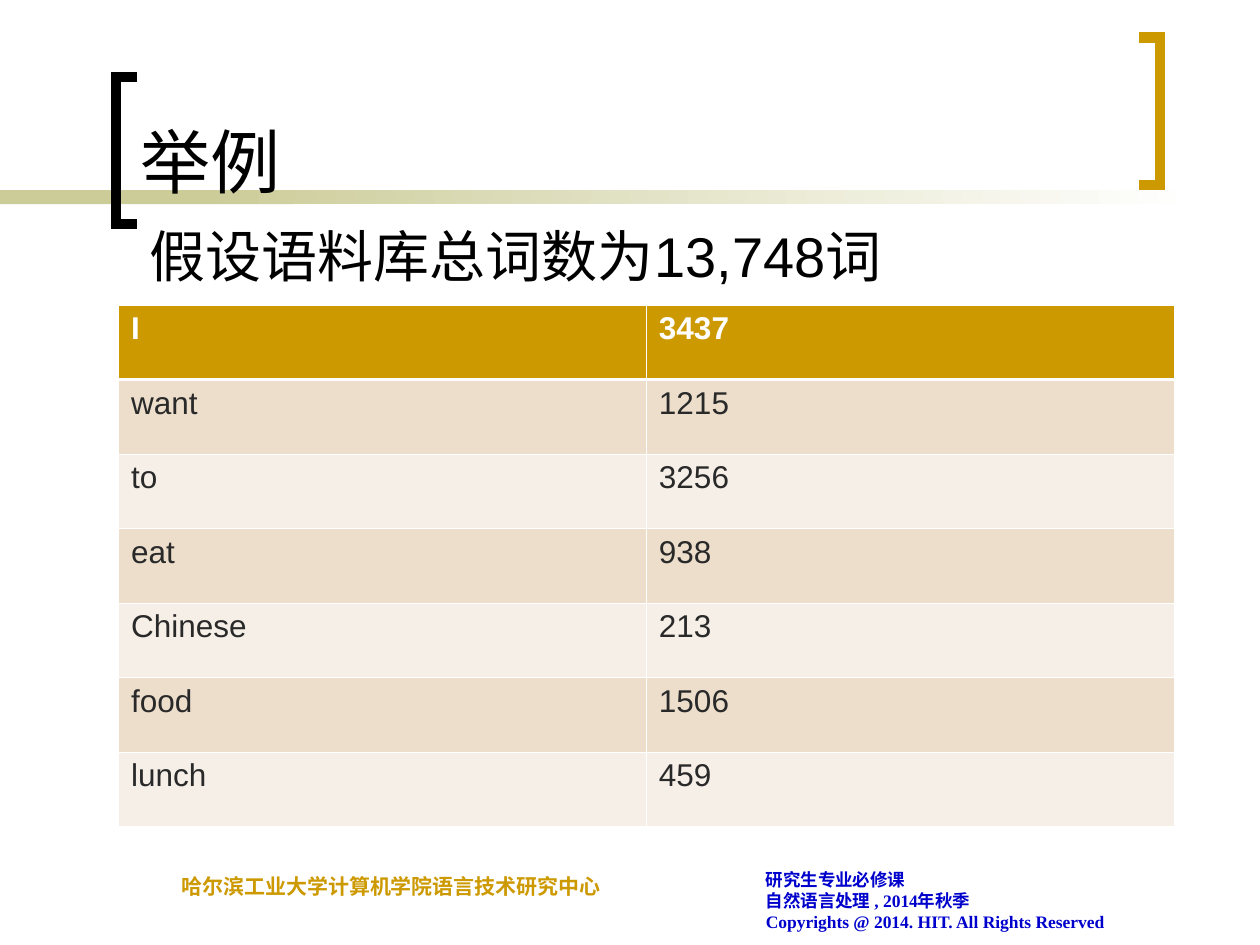
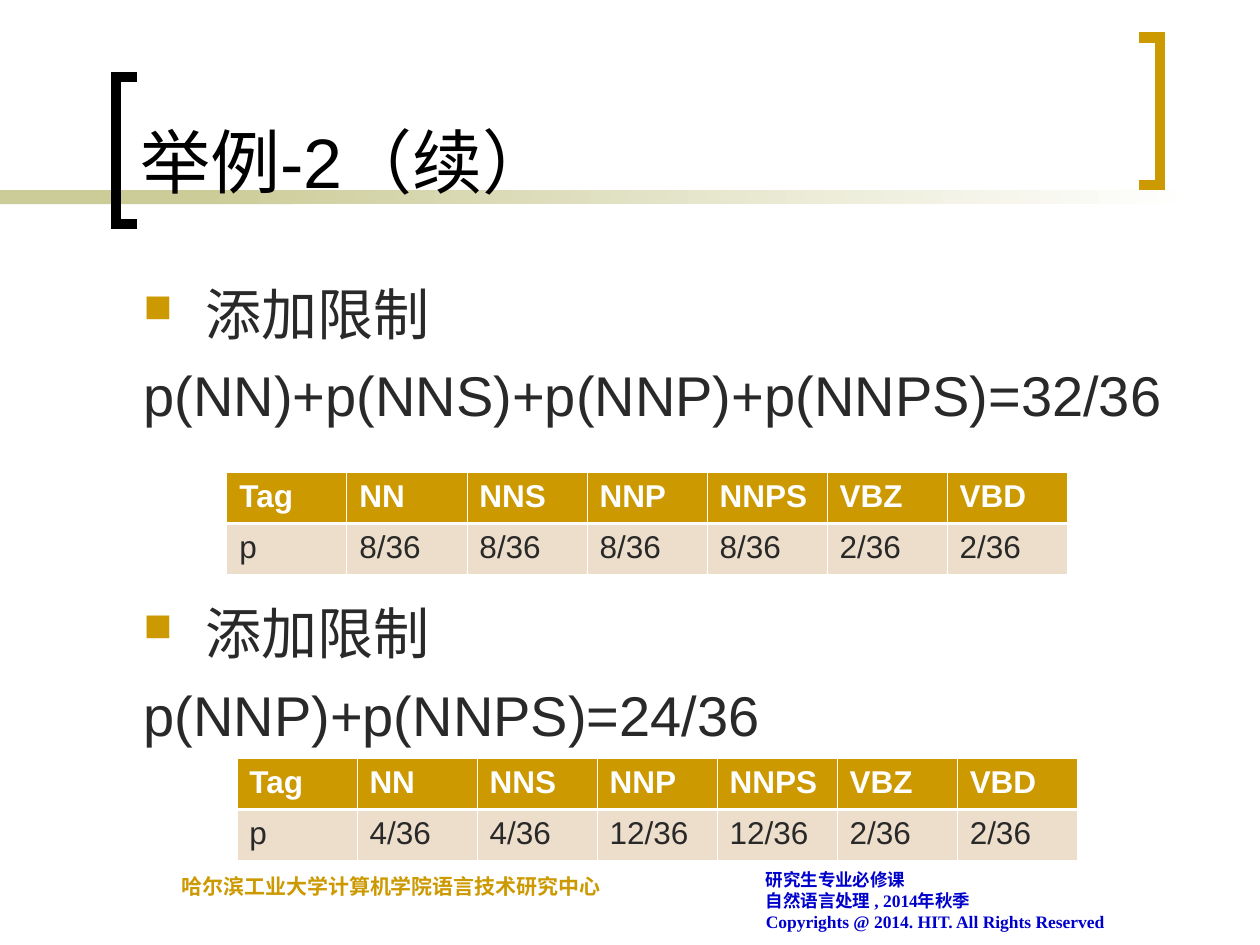
from typing import NamedTuple

from lxml.etree import SubElement
from pptx import Presentation
from pptx.dml.color import RGBColor
from pptx.enum.shapes import MSO_SHAPE as Shape
from pptx.enum.text import MSO_ANCHOR as Anchor
from pptx.oxml.ns import qn
from pptx.util import Emu, Inches, Pt

BLACK = RGBColor(0, 0, 0)
WHITE = RGBColor(0xFF, 0xFF, 0xFF)
GOLD = RGBColor(0xCC, 0x99, 0x00)
OLIVE = RGBColor(0xCC, 0xCC, 0x99)
BLUE = RGBColor(0, 0, 0xCC)
CHARCOAL = RGBColor(0x29, 0x29, 0x29)
SAND = RGBColor(0xEC, 0xDE, 0xCB)
CREAM = RGBColor(0xF6, 0xEF, 0xE7)

SLIDE_WIDTH, SLIDE_HEIGHT = Inches(10), Inches(7.5)
COLUMNS, ROWS = 100, 75
COLUMN, ROW = SLIDE_WIDTH / COLUMNS, SLIDE_HEIGHT / ROWS


class Box(NamedTuple):
    """A region in grid columns and rows."""
    left: float
    top: float
    width: float
    height: float

    def lengths(self):
        return (Emu(round(self.left * COLUMN)), Emu(round(self.top * ROW)),
                Emu(round(self.width * COLUMN)), Emu(round(self.height * ROW)))


class Style(NamedTuple):
    size: float
    color: RGBColor
    name: str = "Arial"
    bold: bool = False


TITLE = Style(40, BLACK)
LEAD = Style(32, BLACK)
BODY = Style(32, CHARCOAL)
HEADER_CELL = Style(18, WHITE, bold=True)
BODY_CELL = Style(18, CHARCOAL)
COURSE = Style(10, BLUE, "Times New Roman", True)
CENTRE = Style(12, GOLD, "Times New Roman", True)

TITLE_BOX = Box(10.2, 1.1, 78.3, 15.5)
COURSE_BOX = Box(59.8, 68.5, 30.3, 6.8)
CENTRE_BOX = Box(13.4, 68.8, 45.7, 6.5)

THIN, THICK = Pt(0.45), Pt(1.47)
LINE_GAP = Pt(8)
SECTION_GAP = Pt(97.6)  # leaves room for a table between two sections
HANGING = Inches(0.49)


def write(para, text, style):
    span = para.add_run()
    span.text = text
    span.font.size = Pt(style.size)
    span.font.name = style.name
    span.font.bold = style.bold
    span.font.color.rgb = style.color


def add_text(page, box, lines, style, anchor=Anchor.TOP):
    """Write one paragraph per line and return the paragraphs."""
    frame = page.shapes.add_textbox(*box.lengths()).text_frame
    frame.word_wrap = True
    frame.vertical_anchor = anchor
    for index, line in enumerate(lines):
        para = frame.add_paragraph() if index else frame.paragraphs[0]
        write(para, line, style)
    return frame.paragraphs


def add_band(page, box, fade=False):
    band = page.shapes.add_shape(Shape.RECTANGLE, *box.lengths())
    band.shadow.inherit = False
    band.line.fill.background()
    if fade:
        band.fill.gradient()
        band.fill.gradient_angle = 0
        for stop, color, position in zip(band.fill.gradient_stops, (OLIVE, WHITE), (0, 1)):
            stop.color.rgb = color
            stop.position = position
    else:
        band.fill.solid()
        band.fill.fore_color.rgb = OLIVE


def add_bracket(page, box, color, opens_right):
    left, top, width, height = box.lengths()
    right, bottom = left + width, top + height
    tip, back = (right, left) if opens_right else (left, right)
    builder = page.shapes.build_freeform(tip, top)
    builder.add_line_segments([(back, top), (back, bottom), (tip, bottom)], close=False)
    bracket = builder.convert_to_shape()
    bracket.shadow.inherit = False
    bracket.fill.background()
    bracket.line.color.rgb = color
    bracket.line.width = Pt(6)
    SubElement(bracket.line._ln, qn("a:miter"), lim="800000")


def add_frame(page, title):
    """Draw the band, brackets and title that every slide shares."""
    add_band(page, Box(0, 15.1, 23.3, 1.1))
    add_band(page, Box(15.8, 15.1, 79.2, 1.1), fade=True)
    add_bracket(page, Box(9.2, 6.1, 1.65, 11.7), BLACK, opens_right=True)
    add_bracket(page, Box(90.4, 3, 1.65, 11.7), GOLD, opens_right=False)
    add_text(page, TITLE_BOX, [title], TITLE, Anchor.BOTTOM)


def add_footers(page):
    add_text(page, COURSE_BOX, [
        "研究生专业必修课",
        "自然语言处理 , 2014年秋季",
        "Copyrights @ 2014. HIT. All Rights Reserved",
    ], COURSE)
    add_text(page, CENTRE_BOX, ["哈尔滨工业大学计算机学院语言技术研究中心"], CENTRE)


def set_borders(cell, top, bottom):
    properties = cell._tc.get_or_add_tcPr()
    for side, width in (("L", THIN), ("R", THIN), ("T", top), ("B", bottom)):
        edge = SubElement(properties, qn(f"a:ln{side}"), w=str(int(width)))
        fill = SubElement(edge, qn("a:solidFill"))
        SubElement(fill, qn("a:srgbClr"), val=str(WHITE))


def add_grid_table(page, box, records):
    """Fill the box with equal cells: a gold header over banded rows."""
    left, top, width, height = box.lengths()
    table = page.shapes.add_table(len(records), len(records[0]),
                                  left, top, width, height).table
    table.horz_banding = False
    for column in table.columns:
        column.width = Emu(width // len(records[0]))
    for index, record in enumerate(records):
        table.rows[index].height = Emu(height // len(records))
        if index == 0:
            fill, style = GOLD, HEADER_CELL
        else:
            fill, style = (SAND if index % 2 else CREAM), BODY_CELL
        for position, text in enumerate(record):
            cell = table.cell(index, position)
            set_borders(cell, THICK if index == 1 else THIN, THICK if index == 0 else THIN)
            cell.fill.solid()
            cell.fill.fore_color.rgb = fill
            write(cell.text_frame.paragraphs[0], text, style)


def add_square_bullet(para):
    properties = para._p.get_or_add_pPr()
    color = SubElement(properties, qn("a:buClr"))
    SubElement(color, qn("a:srgbClr"), val=str(GOLD))
    SubElement(properties, qn("a:buSzPct"), val="70000")
    SubElement(properties, qn("a:buChar"), char="■")


def add_constraints(page, box, formulas):
    """Write a bulleted heading above each formula."""
    lines = [line for formula in formulas for line in ("添加限制", formula)]
    for index, para in enumerate(add_text(page, box, lines, BODY)):
        properties = para._p.get_or_add_pPr()
        properties.set("marL", str(int(HANGING)))
        properties.set("indent", str(-int(HANGING)))
        is_heading = index % 2 == 0
        if is_heading:
            add_square_bullet(para)
        if index:
            para.space_before = SECTION_GAP if is_heading else LINE_GAP


def build_word_counts(page):
    add_frame(page, "举例")
    add_grid_table(page, Box(9.4, 24.2, 83.8, 41.4), [
        ("I", "3437"),
        ("want", "1215"),
        ("to", "3256"),
        ("eat", "938"),
        ("Chinese", "213"),
        ("food", "1506"),
        ("lunch", "459"),
    ])
    add_text(page, Box(10.9, 16.4, 78.3, 7), ["假设语料库总词数为13,748词"], LEAD, Anchor.BOTTOM)
    add_footers(page)


def build_tag_probabilities(page):
    add_frame(page, "举例-2（续）")
    add_constraints(page, Box(10.4, 21.7, 83.8, 45),
                    ["p(NN)+p(NNS)+p(NNP)+p(NNPS)=32/36", "p(NNP)+p(NNPS)=24/36"])
    tags = ("Tag", "NN", "NNS", "NNP", "NNPS", "VBZ", "VBD")
    for left, top, shares in (
        (18, 37.5, (8, 8, 8, 8, 2, 2)),
        (18.8, 60.2, (4, 4, 12, 12, 2, 2)),
    ):
        chances = ("p", *(f"{share}/36" for share in shares))
        add_grid_table(page, Box(left, top, 66.7, 8.1), [tags, chances])
    add_footers(page)


def main():
    deck = Presentation()
    deck.slide_width, deck.slide_height = SLIDE_WIDTH, SLIDE_HEIGHT
    blank = deck.slide_layouts[6]
    for build in (build_word_counts, build_tag_probabilities):
        build(deck.slides.add_slide(blank))
    deck.save("out.pptx")


if __name__ == "__main__":
    main()
